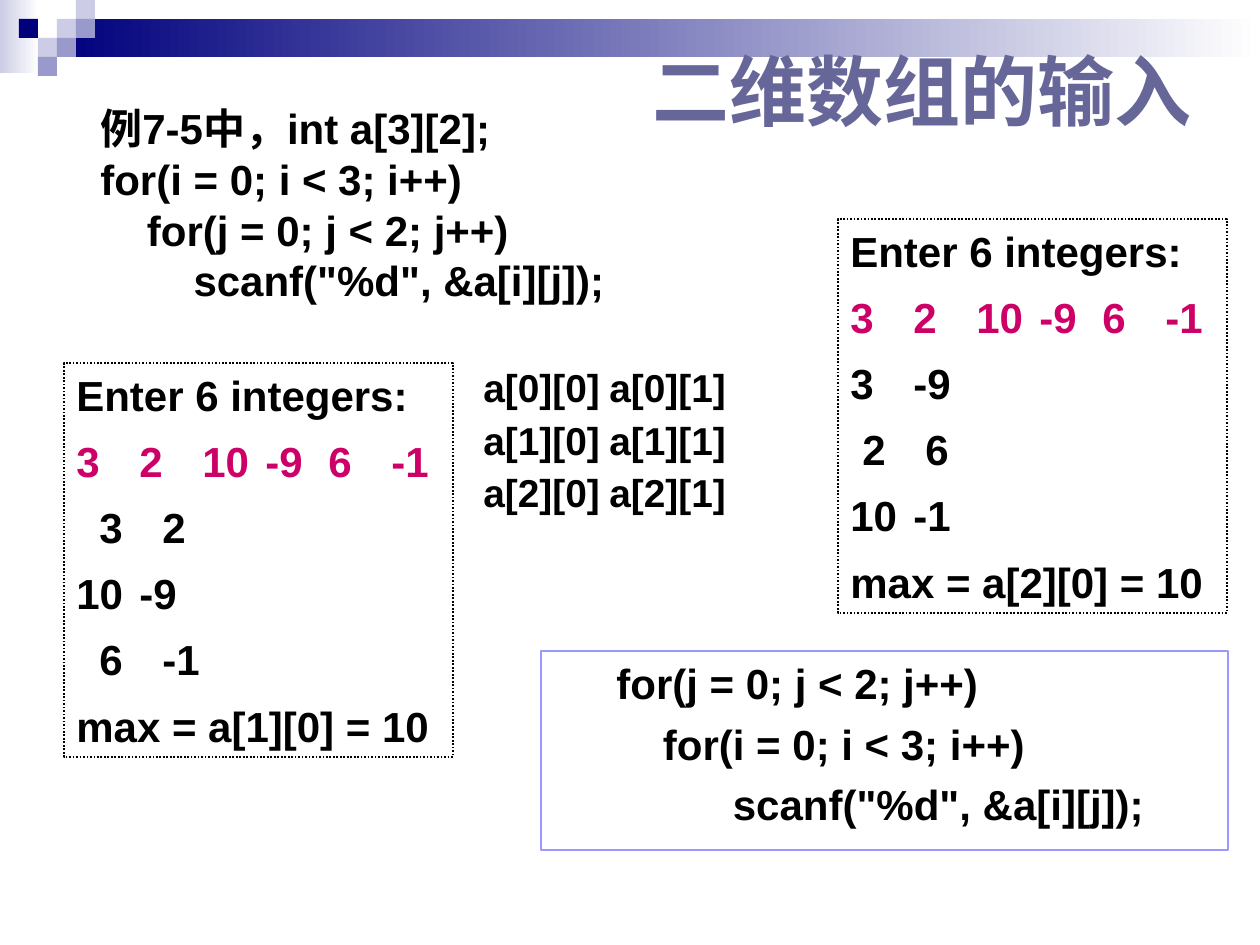
"""Build the slide on reading a two-dimensional array."""
from lxml.etree import SubElement
from pptx import Presentation
from pptx.dml.color import RGBColor as RGB
from pptx.enum.dml import MSO_LINE_DASH_STYLE as Dash
from pptx.enum.shapes import MSO_SHAPE as Shape
from pptx.enum.text import MSO_ANCHOR as Anchor
from pptx.oxml.ns import qn
from pptx.util import Pt

SCALE = 914400 / 126
BLACK = RGB(0, 0, 0)
WHITE = RGB(255, 255, 255)
NAVY = RGB(0, 0, 0x7D)
PALE = RGB(0xCC, 0xCC, 0xE6)
LILAC = RGB(0x99, 0x99, 0xCC)
SLATE = RGB(0x66, 0x66, 0x99)
BLUE = RGB(0x99, 0x99, 0xFF)
PINK = RGB(0xCC, 0, 0x66)


def emu(px):
    return round(px * SCALE)


class Deck:
    def __init__(self, wide, high):
        self.prs = Presentation()
        self.prs.slide_width, self.prs.slide_height = emu(wide), emu(high)
        self.slide = self.prs.slides.add_slide(self.prs.slide_layouts[6])
        self.font = "Arial"
        self.size = 24

    def rect(self, *box):
        shape = self.slide.shapes.add_shape(Shape.RECTANGLE, *map(emu, box))
        shape.shadow.inherit = False
        shape.line.fill.background()
        return shape

    def tile(self, box, color):
        fill = self.rect(*box).fill
        fill.solid()
        fill.fore_color.rgb = color

    def fade(self, box, color):
        fill = self.rect(*box).fill
        fill.gradient()
        fill.gradient_angle = 0
        for stop, tone in zip(fill.gradient_stops, (color, WHITE)):
            stop.color.rgb = tone

    def frame(self, box, color, dash=None):
        shape = self.rect(*box)
        shape.fill.background()
        shape.line.color.rgb = color
        shape.line.width = Pt(1)
        if dash:
            shape.line.dash_style = dash
        return shape

    def label(self, box):
        return self.slide.shapes.add_textbox(*map(emu, box))

    def text(self, shape, rows, gap=0, pitch=1.0, size=None, color=BLACK,
             font=None, anchor=Anchor.TOP):
        frame = shape.text_frame
        frame.word_wrap = True
        frame.vertical_anchor = anchor
        for i, (words, left, tabs, tone) in enumerate(rows):
            para = frame.paragraphs[0] if i == 0 else frame.add_paragraph()
            para.text = words
            prop = para._p.get_or_add_pPr()
            prop.set("algn", "l")
            prop.set("marL", str(emu(left)))
            prop.set("indent", "0")
            if tabs:
                stops = SubElement(prop, qn("a:tabLst"))
                for tab in tabs:
                    SubElement(stops, qn("a:tab"), pos=str(emu(tab)), algn="l")
            para.line_spacing = pitch
            para.space_before = Pt(gap if i else 0)
            para.font.name = font or self.font
            para.font.size = Pt(size or self.size)
            para.font.bold = True
            para.font.color.rgb = tone or color

    def save(self):
        self.prs.save("out.pptx")


def code(*lines):
    return [(line, 63, (), None) for line in lines]


def main():
    deck = Deck(1260, 945)

    deck.fade((0, 0, 39, 73), PALE)
    deck.fade((57, 19, 1203, 38), NAVY)
    unit = 19
    tiles = [(3, 1, PALE), (4, 0, PALE), (4, 1, LILAC), (2, 2, PALE),
             (1, 1, NAVY), (3, 2, LILAC), (2, 3, LILAC)]
    for col, row, color in tiles:
        deck.tile((col * unit, row * unit, unit, unit), color)

    deck.text(deck.label((640, 45, 577, 90)), [("二维数组的输入", 0, (), None)],
              size=44, color=SLATE, font="Times New Roman", anchor=Anchor.MIDDLE)

    deck.text(deck.label((25, 106, 630, 220)), code(
        "例7-5中，int a[3][2];",
        "for(i = 0; i < 3; i++)",
        "    for(j = 0; j < 2; j++)",
        '        scanf("%d", &a[i][j]);'), gap=6, pitch=0.8)

    cells = [(f"a[{i}][0]\ta[{i}][1]", 0, (148,), None) for i in range(3)]
    deck.text(deck.label((471, 363, 343, 189)), cells, gap=6, pitch=0.9, size=22.2)

    deck.text(deck.frame((541, 651, 687, 199), BLUE), code(
        "for(j = 0; j < 2; j++)",
        "    for(i = 0; i < 3; i++)",
        '          scanf("%d", &a[i][j]);'), gap=6)

    panels = [
        (64, 363, (47, 93, 163, 224, 270), "max = a[1][0] = 10",
         [("3\t2", 23, 81), ("10\t-9", 0, 70), ("6\t-1", 23, 70)]),
        (838, 219, (63, 110, 179, 240, 286), "max = a[2][0] = 10",
         [("3\t-9", 0, 58), ("2\t6", 12, 81), ("10\t-1", 0, 70)]),
    ]
    for left, top, stops, best, grid in panels:
        rows = [("Enter 6 integers:", 0, (), None),
                ("3\t2\t10\t-9\t6\t-1", 0, stops, PINK)]
        rows += [(words, pad, (tab,), None) for words, pad, tab in grid]
        rows.append((best, 0, (), None))
        deck.text(deck.frame((left, top, 389, 394), BLACK, Dash.ROUND_DOT), rows, gap=9)

    deck.save()


if __name__ == "__main__":
    main()
